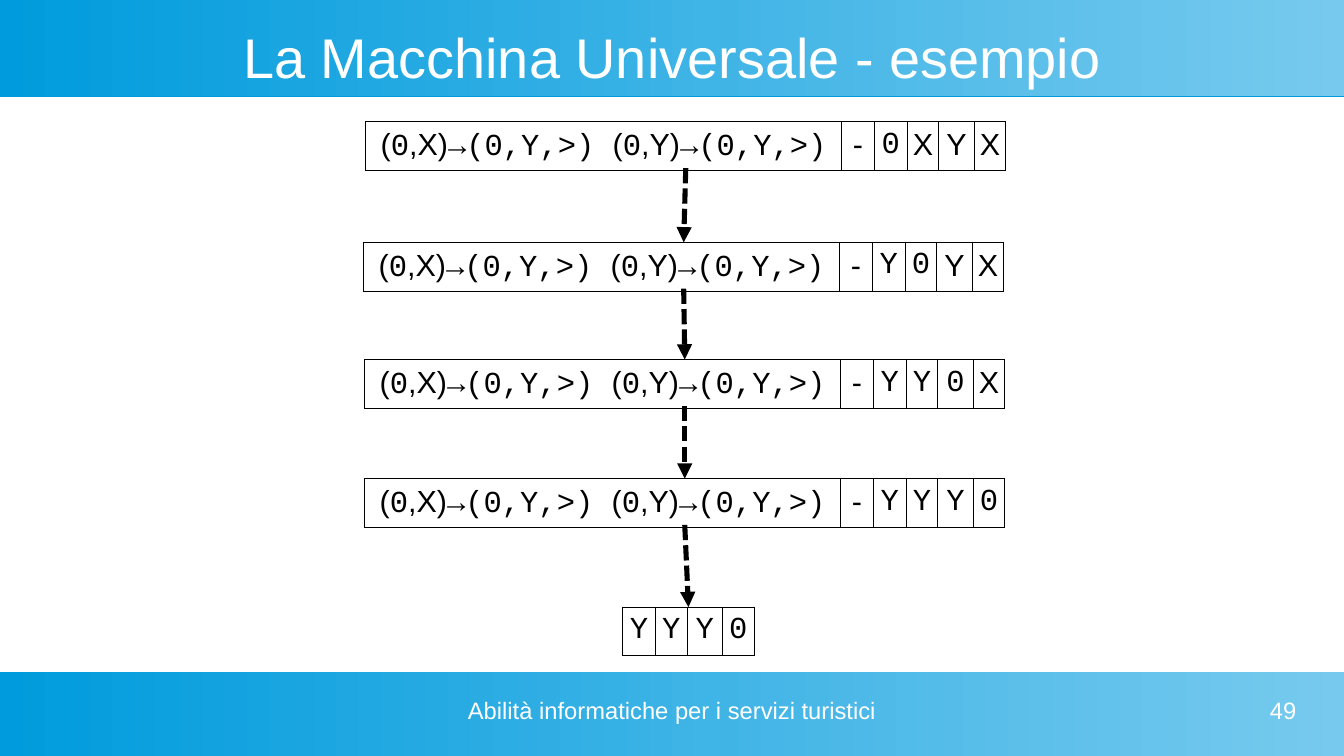
import pptx
import pptx.dml.color
import pptx.enum.dml
import pptx.enum.shapes
import pptx.enum.text
import pptx.oxml
import pptx.oxml.ns
import pptx.util

Pt = pptx.util.Pt
RGBColor = pptx.dml.color.RGBColor
ALIGN = pptx.enum.text.PP_ALIGN
ANCHOR = pptx.enum.text.MSO_ANCHOR

BLUE = RGBColor(0x00, 0x9B, 0xDD)
LIGHT_BLUE = RGBColor(0x77, 0xCA, 0xEE)
WHITE = RGBColor(0xFF, 0xFF, 0xFF)
BLACK = RGBColor(0x00, 0x00, 0x00)

SANS, MONO = "Arial", "Courier New"
SLIDE_WIDTH, SLIDE_HEIGHT = 793.44, 446.4
ROW_HEIGHT = 28.8
ARROW_OFFSET = 27.36
RULES_WIDTH, DASH_WIDTH = 281, 19.4
TAPE_WIDTHS = [19.4, 18.7, 20.9, 18.7]

RULES = [("(", SANS), ("0", MONO), (",X)", SANS), ("→(0,Y,>) ", MONO),
         ("(", SANS), ("0", MONO), (",Y)", SANS), ("→(0,Y,>)", MONO)]

# left, top, tape, whether the rules precede the tape
STEPS = [
    (215.8, 71.9, "0XYX", True),
    (214.6, 143.1, "Y0YX", True),
    (215.2, 212.3, "YY0X", True),
    (215.2, 282.6, "YYY0", True),
    (367.6, 358.5, "YYY0", False),
]


def xml(text):
    return pptx.oxml.parse_xml(text.replace(
        " ", f" {pptx.oxml.ns.nsdecls('a')} ", 1))


def add_band(slide, top, height):
    band = slide.shapes.add_shape(
        pptx.enum.shapes.MSO_SHAPE.RECTANGLE,
        Pt(0), Pt(top), Pt(SLIDE_WIDTH), Pt(height))
    band.line.fill.background()
    band.fill.gradient()
    band.fill.gradient_angle = 0
    for stop, color in zip(band.fill.gradient_stops, (BLUE, LIGHT_BLUE)):
        stop.color.rgb = color
    band.shadow.inherit = False
    effects = band._element.spPr.find(pptx.oxml.ns.qn("a:effectLst"))
    effects.append(xml(
        f'<a:outerShdw dist="{Pt(0.9)}" dir="5400000">'
        f'<a:srgbClr val="{BLUE}"/></a:outerShdw>'))


def write_text(shape, text, size, alignment, anchor):
    frame = shape.text_frame
    frame.word_wrap = True
    frame.margin_left = frame.margin_right = Pt(0)
    frame.margin_top = frame.margin_bottom = Pt(0)
    frame.vertical_anchor = anchor
    paragraph = frame.paragraphs[0]
    paragraph.text = text
    paragraph.alignment = alignment
    paragraph.font.name = SANS
    paragraph.font.size = Pt(size)
    paragraph.font.color.rgb = WHITE


def set_title(slide, text):
    title = slide.shapes.title
    title.left, title.top = Pt(28.3), Pt(14.4)
    title.width, title.height = Pt(737), Pt(37.5)
    write_text(title, text, 33, ALIGN.CENTER, ANCHOR.MIDDLE)
    slide.shapes._spTree.append(title._element)


def add_footer_text(slide, left, width, text, alignment):
    box = slide.shapes.add_textbox(Pt(left), Pt(411.1), Pt(width), Pt(28))
    write_text(box, text, 14, alignment, ANCHOR.TOP)


def format_cell(cell, runs):
    cell.margin_left = cell.margin_right = Pt(2.83)
    cell.margin_top = cell.margin_bottom = Pt(3.6)
    properties = cell._tc.get_or_add_tcPr()
    for side in "LRTB":
        properties.append(xml(
            f'<a:ln{side} w="{Pt(0.57)}"><a:solidFill>'
            f'<a:srgbClr val="{BLACK}"/></a:solidFill></a:ln{side}>'))
    cell.fill.background()
    paragraph = cell.text_frame.paragraphs[0]
    paragraph.alignment = ALIGN.CENTER
    paragraph.font.size = Pt(18)
    paragraph.font.color.rgb = BLACK
    for text, font_name in runs:
        run = paragraph.add_run()
        run.text = text
        run.font.name = font_name
        run.font.size = Pt(18)
        run.font.color.rgb = BLACK


def add_tape(slide, left, top, tape, with_rules):
    """Add one machine state; symbols up to the head 0 are monospaced."""
    head = tape.index("0")
    cells = [[(symbol, MONO if position <= head else SANS)]
             for position, symbol in enumerate(tape)]
    widths = TAPE_WIDTHS
    if with_rules:
        cells = [RULES, [("-", SANS)]] + cells
        widths = [RULES_WIDTH, DASH_WIDTH] + widths
    table = slide.shapes.add_table(
        1, len(cells), Pt(left), Pt(top), Pt(sum(widths)), Pt(ROW_HEIGHT)).table
    table.first_row = table.horz_banding = False
    table.rows[0].height = Pt(ROW_HEIGHT)
    for column, width, runs in zip(range(len(cells)), widths, cells):
        table.columns[column].width = Pt(width)
        format_cell(table.cell(0, column), runs)
    return left + sum(widths) / 2, top


def add_arrow(slide, start, end):
    arrow = slide.shapes.add_connector(
        pptx.enum.shapes.MSO_CONNECTOR.STRAIGHT,
        *(Pt(value) for value in (*start, *end)))
    arrow.line.color.rgb = BLACK
    arrow.line.width = Pt(3)
    arrow.line.dash_style = pptx.enum.dml.MSO_LINE.SQUARE_DOT
    arrow.line._get_or_add_ln().append(xml('<a:tailEnd type="triangle"/>'))
    arrow._element.spPr.append(xml("<a:effectLst />"))


def main():
    presentation = pptx.Presentation()
    presentation.slide_width = Pt(SLIDE_WIDTH)
    presentation.slide_height = Pt(SLIDE_HEIGHT)
    slide = presentation.slides.add_slide(presentation.slide_layouts[5])

    add_band(slide, 0, 56.7)
    add_band(slide, 396.8, SLIDE_HEIGHT - 396.8)
    set_title(slide, "La Macchina Universale - esempio")

    centers = [add_tape(slide, *step) for step in STEPS]
    for (x, top), following in zip(centers, centers[1:]):
        add_arrow(slide, (x, top + ARROW_OFFSET), following)

    add_footer_text(slide, 269.3, 255,
                    "Abilità informatiche per i servizi turistici", ALIGN.CENTER)
    add_footer_text(slide, 581, 184.3, "49", ALIGN.RIGHT)
    presentation.save("out.pptx")


if __name__ == "__main__":
    main()
